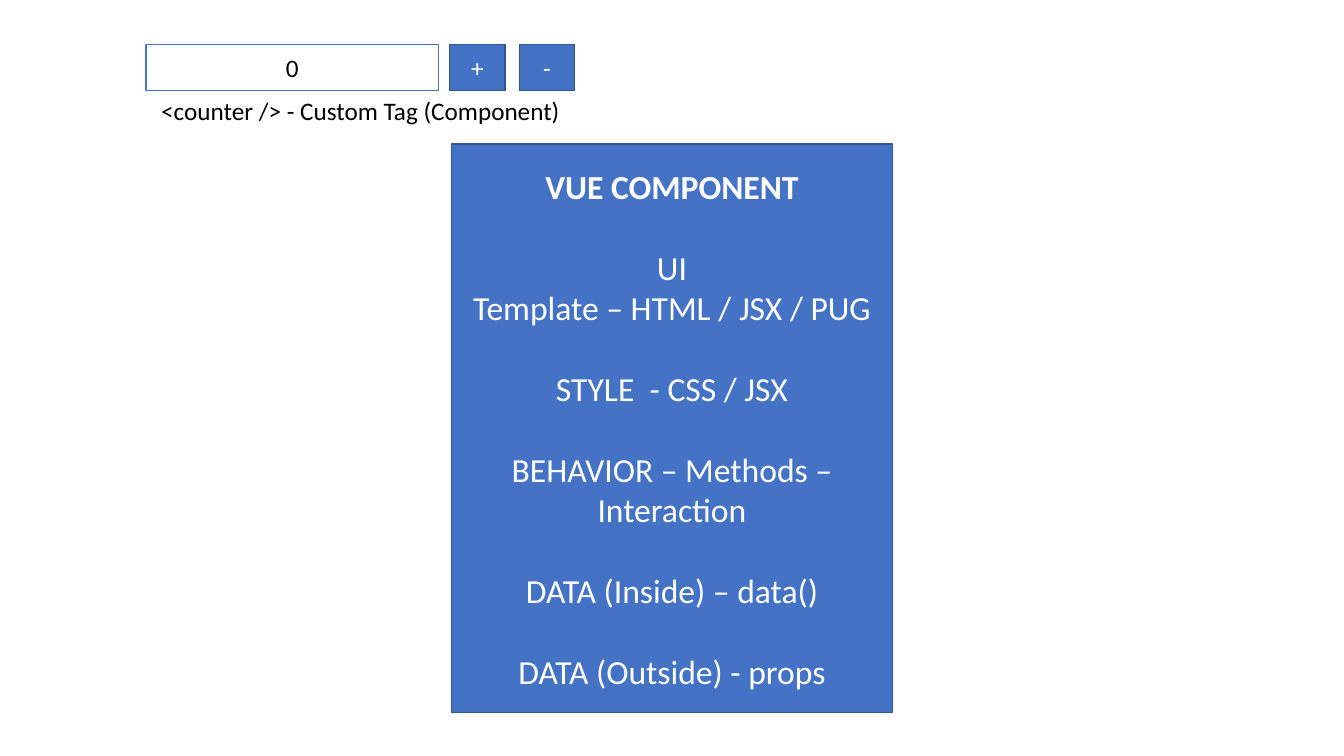
from dataclasses import dataclass

from pptx import Presentation
from pptx import util as u
from pptx.dml.color import RGBColor
from pptx.enum import shapes, text

PX = 9144


@dataclass(frozen=True)
class Theme:
    font: str = "Calibri"
    body: int = 18
    large: int = 24
    section_gap: int = 29
    white: str = "FFFFFF"
    black: str = "000000"
    blue: str = "4472C4"
    edge: str = "325491"


T = Theme()

SECTIONS = [
    ["UI", "Template – HTML / JSX / PUG"],
    ["STYLE  - CSS / JSX"],
    ["BEHAVIOR – Methods – Interaction"],
    ["DATA (Inside) – data()"],
    ["DATA (Outside) - props"],
]


def px(*lengths):
    return [u.Emu(n * PX) for n in lengths]


def write(p, words, size, color, bold=False):
    p.text = words
    p.font.name = T.font
    p.font.size = u.Pt(size)
    p.font.bold = bold
    p.font.color.rgb = RGBColor.from_string(color)


def add_box(s, at, fill=T.blue, line=T.edge):
    sp = s.shapes.add_shape(shapes.MSO_SHAPE.RECTANGLE, *px(*at))
    sp.shadow.inherit = False
    sp.fill.solid()
    sp.fill.fore_color.rgb = RGBColor.from_string(fill)
    sp.line.color.rgb = RGBColor.from_string(line)
    sp.line.width = u.Pt(1)
    tf = sp.text_frame
    tf.word_wrap = True
    tf.vertical_anchor = text.MSO_ANCHOR.MIDDLE
    tf.paragraphs[0].alignment = text.PP_ALIGN.CENTER
    return tf


def add_counter(s):
    top, height = 44, 46
    tf = add_box(s, (145, top, 290, height), T.white, T.blue)
    write(tf.paragraphs[0], "0", T.body, T.black)
    for i, sign in enumerate("+-"):
        tf = add_box(s, (446 + 69 * i, top, 55, height))
        write(tf.paragraphs[0], sign, T.body, T.white)


def add_caption(s, at, words):
    tf = s.shapes.add_textbox(*px(*at)).text_frame
    tf.word_wrap = False
    tf.auto_size = text.MSO_AUTO_SIZE.SHAPE_TO_FIT_TEXT
    write(tf.paragraphs[0], words, T.body, T.black)


def add_component(s, at, title, sections):
    tf = add_box(s, at)
    write(tf.paragraphs[0], title, T.large, T.white, bold=True)
    for section in sections:
        for i, words in enumerate(section):
            p = tf.add_paragraph()
            p.alignment = text.PP_ALIGN.CENTER
            p.space_before = u.Pt(0 if i else T.section_gap)
            write(p, words, T.large, T.white)


def main():
    prs = Presentation()
    prs.slide_width, prs.slide_height = px(1333, 750)
    s = prs.slides.add_slide(prs.slide_layouts[6])
    add_counter(s)
    add_caption(s, (150, 90, 420, 40), "<counter /> - Custom Tag (Component)")
    add_component(s, (448, 143, 437, 564), "VUE COMPONENT", SECTIONS)
    prs.save("out.pptx")


if __name__ == "__main__":
    main()
